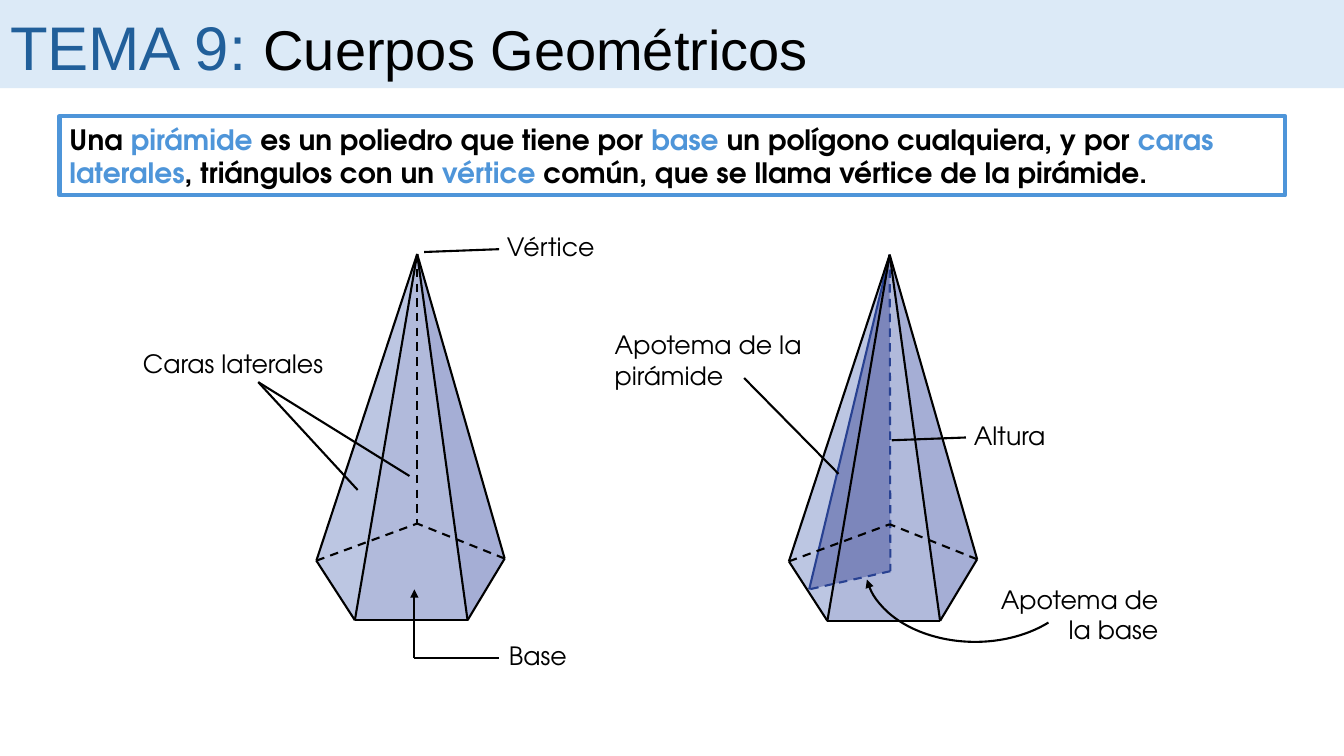
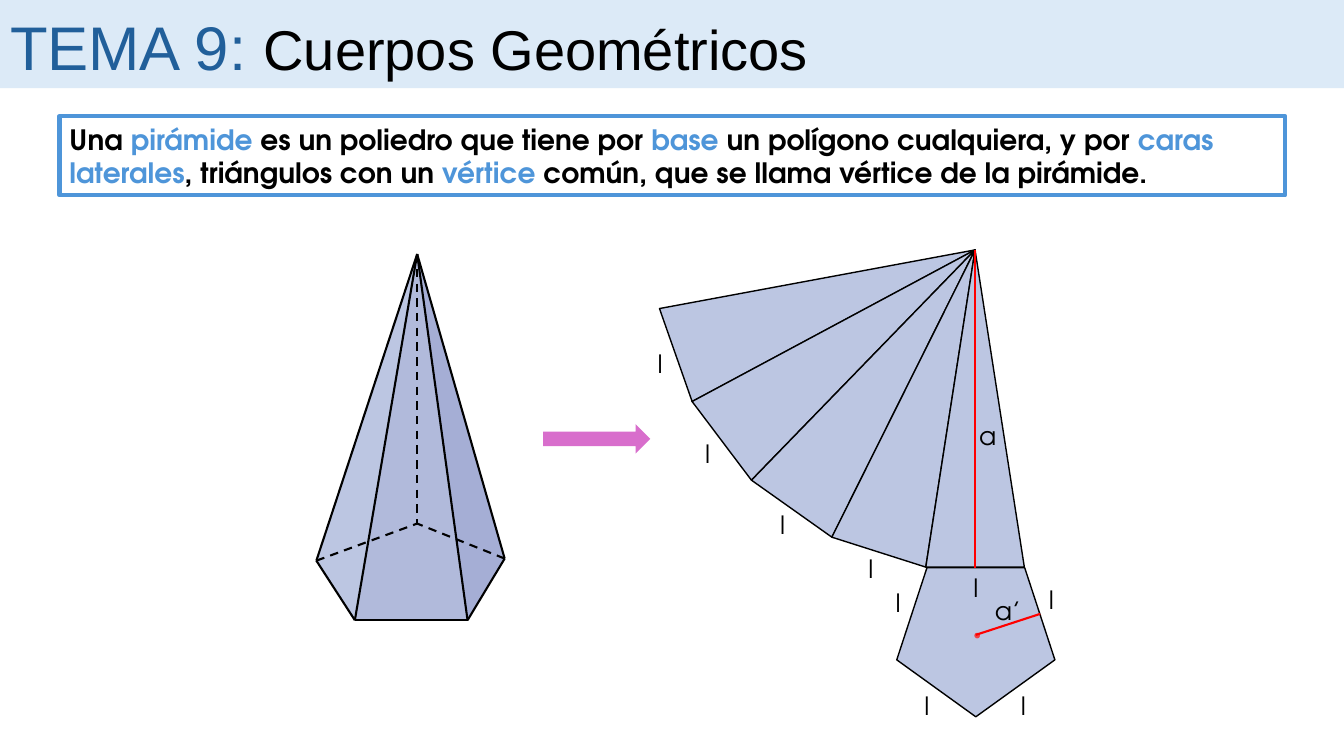
from itertools import pairwise
from math import cos, radians, sin

from lxml.etree import SubElement
from pptx import Presentation
from pptx.dml.color import RGBColor
from pptx.enum.dml import MSO_LINE
from pptx.enum.shapes import MSO_CONNECTOR, MSO_SHAPE
from pptx.enum.text import MSO_ANCHOR, MSO_AUTO_SIZE, PP_ALIGN
from pptx.oxml.ns import qn
from pptx.util import Pt

BLACK = RGBColor(0x00, 0x00, 0x00)
BAND = RGBColor(0xDC, 0xEA, 0xF7)
NAVY = RGBColor(0x21, 0x5F, 0x9A)
BLUE = RGBColor(0x4E, 0x95, 0xD9)
FACE_LIGHT = RGBColor(0xBC, 0xC6, 0xE2)
FACE_MID = RGBColor(0xB1, 0xBA, 0xDB)
FACE_DARK = RGBColor(0xA5, 0xAE, 0xD5)
SECTION = RGBColor(0x63, 0x6E, 0xAD)
SECTION_EDGE = RGBColor(0x28, 0x41, 0x91)
RED = RGBColor(0xFF, 0x00, 0x00)
DOT = RGBColor(0xEF, 0x42, 0x46)
PINK = RGBColor(0xD8, 0x6E, 0xCC)
FONT = "TeX Gyre Adventor"
LEFT, CENTER, RIGHT = PP_ALIGN.LEFT, PP_ALIGN.CENTER, PP_ALIGN.RIGHT

DEFINITION = [
    "Una ", "pirámide", " es un poliedro que tiene por ", "base",
    " un polígono cualquiera, y por ", "caras laterales",
    ", triángulos con un ", "vértice",
    " común, que se llama vértice de la pirámide.",
]


def add_line(shapes, start, end, color=BLACK, dashed=False):
    cxn = shapes.add_connector(MSO_CONNECTOR.STRAIGHT, *map(Pt, (*start, *end)))
    cxn.line.color.rgb = color
    cxn.line.width = Pt(1.5)
    if dashed:
        cxn.line.dash_style = MSO_LINE.DASH
    SubElement(cxn.element.spPr, qn("a:effectLst"))
    return cxn


def add_polygon(shapes, points, fill, outlined=False):
    (x, y), *rest = [(Pt(px), Pt(py)) for px, py in points]
    builder = shapes.build_freeform(x, y)
    builder.add_line_segments(rest)
    sp = builder.convert_to_shape()
    sp.shadow.inherit = False
    sp.fill.solid()
    sp.fill.fore_color.rgb = fill
    if outlined:
        sp.line.color.rgb = BLACK
        sp.line.width = Pt(1)
    else:
        sp.line.fill.background()
    return sp


prs = Presentation()
prs.slide_width, prs.slide_height = Pt(960), Pt(540)

# Title band and definition
for _ in range(2):
    s = prs.slides.add_slide(prs.slide_layouts[5])
    title = s.shapes.title
    band = s.shapes.add_shape(MSO_SHAPE.RECTANGLE, 0, 0, Pt(960), Pt(63))
    band.shadow.inherit = False
    band.fill.solid()
    band.fill.fore_color.rgb = BAND
    band.line.fill.background()
    title.element.addprevious(band.element)

    title.left, title.top, title.width, title.height = 0, Pt(3), Pt(853), Pt(60)
    tf = title.text_frame
    tf.auto_size = MSO_AUTO_SIZE.NONE
    tf.vertical_anchor = MSO_ANCHOR.BOTTOM
    p = tf.paragraphs[0]
    p.alignment = LEFT
    p.font.name = "Arial"
    for text, size, color in (("TEMA 9: ", 44, NAVY), ("Cuerpos Geométricos", 40, BLACK)):
        r = p.add_run()
        r.text = text
        r.font.size = Pt(size)
        r.font.color.rgb = color

    box = s.shapes.add_shape(MSO_SHAPE.RECTANGLE, Pt(42.5), Pt(83), Pt(875.5), Pt(56.5))
    box.shadow.inherit = False
    box.fill.background()
    box.line.color.rgb = BLUE
    box.line.width = Pt(3)
    tf = box.text_frame
    tf.word_wrap = True
    tf.vertical_anchor = MSO_ANCHOR.MIDDLE
    p = tf.paragraphs[0]
    p.alignment = LEFT
    p.font.name = FONT
    p.font.size = Pt(20)
    p.font.bold = True
    for i, text in enumerate(DEFINITION):
        r = p.add_run()
        r.text = text
        r.font.color.rgb = BLUE if i % 2 else BLACK

parts, net = prs.slides

# Pyramids
for s, dx, dy, has_section in ((parts, 0, 0, False), (parts, 337.5, 0.5, True), (net, 0, 0, False)):
    apex, left, front_left, front_right, right, back, foot, center = [
        (x + dx, y + dy) for x, y in (
            (298, 181.5), (226, 400.5), (253.5, 443), (334, 443),
            (360.5, 399), (298, 374), (240.5, 420.5), (298.5, 407.5))]
    shapes = s.shapes.add_group_shape().shapes
    add_polygon(shapes, (apex, front_right, right), FACE_DARK)
    add_polygon(shapes, (apex, front_left, front_right), FACE_MID)
    add_polygon(shapes, (apex, left, front_left), FACE_LIGHT)
    if has_section:
        sp = add_polygon(shapes, (apex, foot, center), SECTION)
        color = sp.element.spPr.find(".//" + qn("a:srgbClr"))
        SubElement(color, qn("a:alpha"), val="68000")
        add_line(shapes, apex, center, SECTION_EDGE, dashed=True)
        add_line(shapes, center, foot, SECTION_EDGE, dashed=True)
        add_line(shapes, apex, foot, SECTION_EDGE)
    else:
        add_line(shapes, apex, back, dashed=True)
    for corner in (left, right):
        add_line(shapes, corner, back, dashed=True)
    base = (left, front_left, front_right, right)
    for corner in base:
        add_line(shapes, apex, corner)
    for start, end in pairwise(base):
        add_line(shapes, start, end)

# Callouts of the parts
for start, end in (
    ((184.5, 273), (255.5, 350)),
    ((184.5, 273), (292.5, 340)),
    ((303, 180), (356.5, 178)),
    ((296, 470), (356.5, 470)),
    ((637, 314.5), (690, 312.5)),
    ((531.5, 270), (599, 338.5)),
):
    add_line(parts.shapes, start, end)
base_arrow = add_line(parts.shapes, (296, 470), (296, 421))

arc = parts.shapes.add_shape(MSO_SHAPE.ARC, Pt(618), Pt(350.5), Pt(157), Pt(108))
arc.shadow.inherit = False
arc.fill.background()
arc.line.color.rgb = BLACK
arc.line.width = Pt(1.5)
for i, degrees in enumerate((37.5, 173)):
    arc.adjustments[i] = degrees * 0.6  # 60000 units a degree, over 100000
for sp in (base_arrow, arc):
    SubElement(sp.element.spPr.get_or_add_ln(), qn("a:tailEnd"), type="triangle")

# Net: five lateral faces fanned around the apex, then the base
APEX_X, APEX_Y, RADIUS, STEP = 696.5, 178.5, 229.3, 17.66
rim = []
for k in range(5, -1, -1):
    angle = radians(STEP * (k - 0.5))
    rim.append((APEX_X - RADIUS * sin(angle), APEX_Y + RADIUS * cos(angle)))
for start, end in pairwise(rim):
    add_polygon(net.shapes, (start, (APEX_X, APEX_Y), end), FACE_LIGHT, outlined=True)

for kind, x, y, w, h, fill in (
    (MSO_SHAPE.REGULAR_PENTAGON, 640.5, 405.5, 113, 106.5, FACE_LIGHT),
    (MSO_SHAPE.RIGHT_ARROW, 388, 303, 76.5, 21, PINK),
    (MSO_SHAPE.OVAL, 696, 452, 4, 4, DOT),
):
    sp = net.shapes.add_shape(kind, Pt(x), Pt(y), Pt(w), Pt(h))
    sp.shadow.inherit = False
    sp.fill.solid()
    sp.fill.fore_color.rgb = fill
    if kind == MSO_SHAPE.REGULAR_PENTAGON:
        sp.rotation = 180
        sp.line.color.rgb = BLACK
        sp.line.width = Pt(1)
    else:
        sp.line.fill.background()

add_line(net.shapes, (APEX_X, APEX_Y), (APEX_X, 405.5), RED)
add_line(net.shapes, (697, 453.5), (743, 438.5), RED)

# Labels
labels = [
    (parts, "Caras laterales", 95, 245, 150.5, 29, LEFT),
    (parts, "Vértice", 355, 162, 150.5, 29, LEFT),
    (parts, "Base", 356.5, 453.5, 69, 29, LEFT),
    (parts, "Altura", 688.5, 296.5, 150.5, 29, LEFT),
    (parts, "Apotema de la pirámide", 432, 232, 150.5, 51, LEFT),
    (parts, "Apotema de la base", 695.5, 413.5, 139, 51, RIGHT),
    (net, "a", 691, 296.5, 29, 29, CENTER),
    (net, "a’", 702, 422, 36, 29, CENTER),
]
for x, y in ((457, 245), (491, 309.5), (544.5, 360), (607.5, 391.5), (627, 416),
             (647.5, 489.5), (716.5, 489.5), (736.5, 414), (682.5, 405.5)):
    labels.append((net, "l", x, y, 29, 29, CENTER))
for s, text, x, y, w, h, align in labels:
    tf = s.shapes.add_textbox(Pt(x), Pt(y), Pt(w), Pt(h)).text_frame
    tf.word_wrap = True
    p = tf.paragraphs[0]
    p.text = text
    p.alignment = align
    p.font.name = FONT
    p.font.size = Pt(18)
    p.font.color.rgb = BLACK

prs.save("out.pptx")
